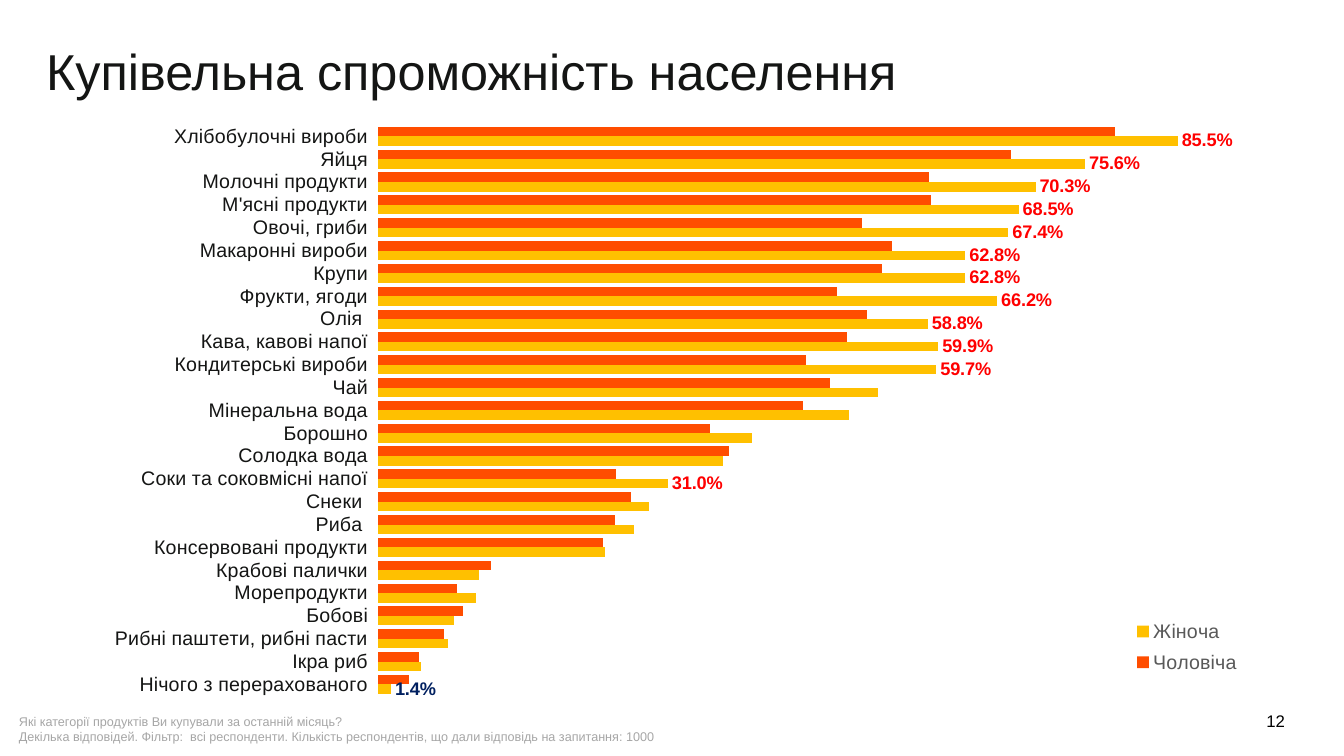
from pptx import Presentation
from pptx.chart.data import CategoryChartData
from pptx.dml.color import RGBColor
from pptx.enum.chart import (XL_CHART_TYPE as CT, XL_LABEL_POSITION as LP,
                             XL_LEGEND_POSITION as LG, XL_TICK_MARK as TM,
                             XL_TICK_LABEL_POSITION as TL)
from pptx.enum.text import MSO_ANCHOR as ANC, PP_ALIGN as AL
from pptx.oxml import parse_xml
from pptx.oxml.ns import nsdecls, qn
from pptx.util import Pt

# Content
TITLE = "Купівельна спроможність населення"
PAGE = "12"
NOTES = [
    "Які категорії продуктів Ви купували за останній місяць?",
    "Декілька відповідей. Фільтр:  всі респонденти. "
    "Кількість респондентів, що дали відповідь на запитання: 1000",
]
SERIES = [("Чоловіча", "men"), ("Жіноча", "women")]
PRODUCTS = [  # category, men %, women %
    ("Хлібобулочні вироби", 78.8, 85.5),
    ("Яйця", 67.7, 75.6),
    ("Молочні продукти", 58.9, 70.3),
    ("М'ясні продукти", 59.1, 68.5),
    ("Овочі, гриби", 51.7, 67.4),
    ("Макаронні вироби", 54.9, 62.8),
    ("Крупи", 53.9, 62.8),
    ("Фрукти, ягоди", 49.1, 66.2),
    ("Олія ", 52.3, 58.8),
    ("Кава, кавові напої", 50.1, 59.9),
    ("Кондитерські вироби", 45.8, 59.7),
    ("Чай", 48.3, 53.5),
    ("Мінеральна вода", 45.4, 50.4),
    ("Борошно", 35.5, 40.0),
    ("Солодка вода", 37.5, 36.9),
    ("Соки та соковмісні напої", 25.4, 31.0),
    ("Снеки ", 27.0, 29.0),
    ("Риба ", 25.3, 27.4),
    ("Консервовані продукти", 24.1, 24.3),
    ("Крабові палички", 12.1, 10.8),
    ("Морепродукти", 8.5, 10.5),
    ("Бобові", 9.1, 8.1),
    ("Рибні паштети, рибні пасти", 7.1, 7.5),
    ("Ікра риб", 4.4, 4.6),
    ("Нічого з перерахованого", 3.3, 1.4),
]
HIGHER = [*range(11), 15]
LOWER = [24]

COLORS = {"ink": "141514", "black": "000000", "note": "A6A6A6", "legend": "595959",
          "men": "FF4D00", "women": "FFC000", "higher": "FF0000", "lower": "002060"}
FONT = "Arial"

# Geometry in px: left, top, width, height
PX = 914400 / 100.8
SLIDE = (1344, 756)
TITLE_BOX = (36, 32, 1159, 84)
PAGE_BOX = (993, 701, 302, 40)
NOTE_BOX = (9, 709, 683, 40)
CHART_BOX = (9, 73, 1241, 628)
PLOT_BOX = (378, 125, 842, 571)
LEGEND_BOX = (1130, 612, 114, 70)


def emu(box):
    return [round(v * PX) for v in box]


def style(font, size, color, bold=False):
    for key, value in {"name": FONT, "size": Pt(size), "bold": bold}.items():
        setattr(font, key, value)
    font.color.rgb = RGBColor.from_string(COLORS[color])


def write(sp, lines, size, color, **para):
    tf = sp.text_frame
    tf.word_wrap = True
    for i, line in enumerate(lines):
        p = tf.add_paragraph() if i else tf.paragraphs[0]
        for key, value in para.items():
            setattr(p, key, value)
        r = p.add_run()
        r.text = line
        style(r.font, size, color)
    return tf


def set_layout(el, index, box, inner=False):
    """Place a chart part by its share of the chart frame."""
    for old in el.findall(qn("c:layout")):
        el.remove(old)
    left, top, width, height = CHART_BOX
    shares = {"x": (box[0] - left) / width, "y": (box[1] - top) / height,
              "w": box[2] / width, "h": box[3] / height}
    target = '<c:layoutTarget val="inner"/>' if inner else ""
    modes = '<c:xMode val="edge"/><c:yMode val="edge"/>'
    sizes = "".join(f'<c:{k} val="{v:.4f}"/>' for k, v in shares.items())
    el.insert(index, parse_xml(
        f'<c:layout {nsdecls("c")}><c:manualLayout>{target}{modes}{sizes}'
        '</c:manualLayout></c:layout>'))


def add_bars(s):
    data = CategoryChartData(number_format="0.0%")
    data.categories = [row[0] for row in PRODUCTS]
    for col, (name, _) in enumerate(SERIES, 1):
        data.add_series(name, [round(row[col] / 100, 3) for row in PRODUCTS])
    chart = s.shapes.add_chart(CT.BAR_CLUSTERED, *emu(CHART_BOX), data).chart
    chart.has_title = False
    style(chart.font, 10, "black")

    # Axes
    cat, val = chart.category_axis, chart.value_axis
    cat.reverse_order = True
    cat.major_tick_mark = cat.minor_tick_mark = TM.NONE
    cat.tick_label_position = TL.LOW
    cat.format.line.fill.background()
    style(cat.tick_labels.font, 14, "ink")
    val.minimum_scale, val.maximum_scale = 0, 0.9
    val.has_major_gridlines = False
    val.visible = False

    # Bars and labels
    plot = chart.plots[0]
    plot.gap_width, plot.overlap, plot.vary_by_categories = 40, 0, False
    for series, (_, color) in zip(plot.series, SERIES):
        series.format.fill.solid()
        series.format.fill.fore_color.rgb = RGBColor.from_string(COLORS[color])
    women = plot.series[1]
    for color, points in (("higher", HIGHER), ("lower", LOWER)):
        for i in points:
            label = women.points[i].data_label
            style(label.font, 13, color, bold=True)
            label.position = LP.OUTSIDE_END

    # Legend and plot area
    chart.has_legend = True
    legend = chart.legend
    legend.position = LG.RIGHT
    legend.include_in_layout = False
    style(legend.font, 14, "legend")
    legend_el = chart.element.find(".//" + qn("c:legend"))
    set_layout(legend_el, 1, LEGEND_BOX)
    set_layout(chart.element.find(".//" + qn("c:plotArea")), 0, PLOT_BOX, inner=True)


def main():
    prs = Presentation()
    prs.slide_width, prs.slide_height = emu(SLIDE)
    s = prs.slides.add_slide(prs.slide_layouts[5])

    # Title
    title = s.shapes.title
    title.left, title.top, title.width, title.height = emu(TITLE_BOX)
    tf = write(title, [TITLE], 36, "ink", alignment=AL.LEFT, line_spacing=0.9)
    tf.vertical_anchor = ANC.MIDDLE

    # Page number, chart, footnote
    page = s.shapes.add_textbox(*emu(PAGE_BOX))
    write(page, [PAGE], 12, "black", alignment=AL.RIGHT).vertical_anchor = ANC.MIDDLE
    add_bars(s)
    write(s.shapes.add_textbox(*emu(NOTE_BOX)), NOTES, 9, "note")

    prs.save("out.pptx")


if __name__ == "__main__":
    main()
